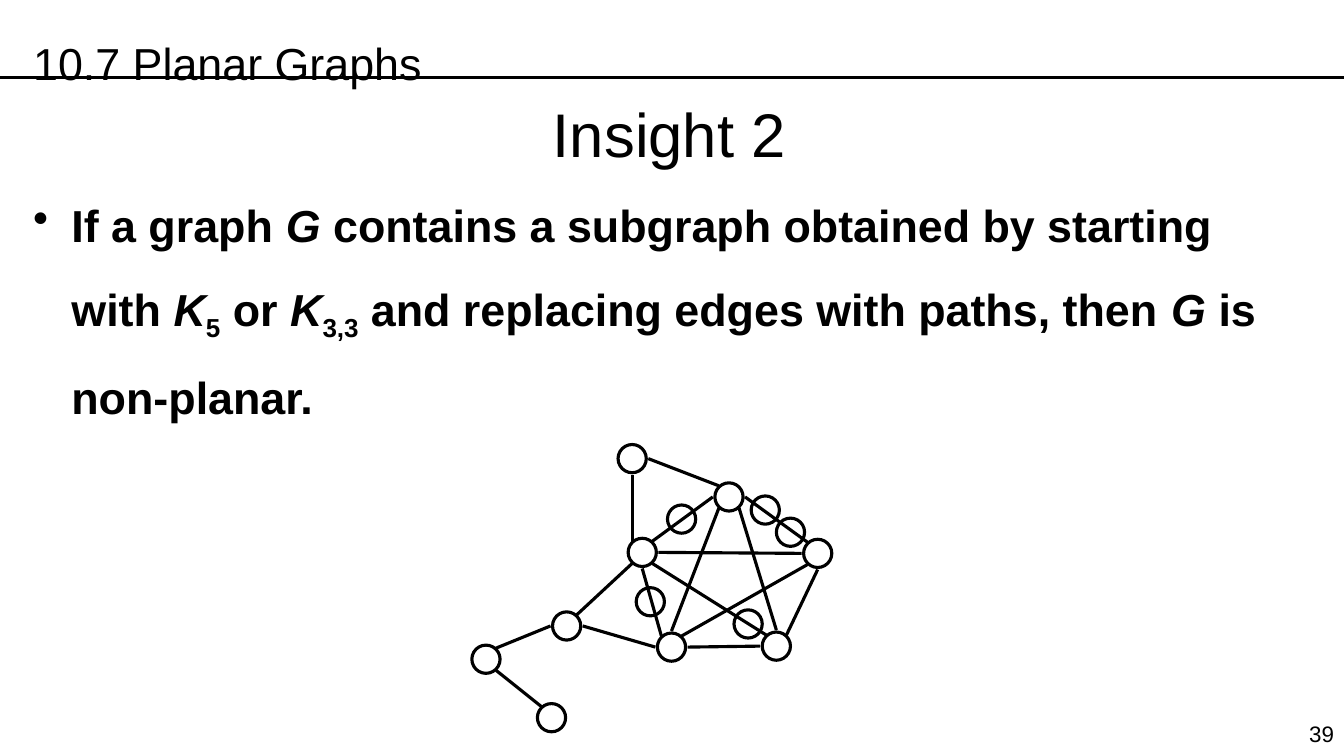
from lxml import etree
from pptx import Presentation, util as u
from pptx.dml.color import RGBColor
from pptx.enum import shapes, text
from pptx.oxml import ns

PX = 9144
RADIUS = 14
COLOURS = {"ink": "000000", "paper": "FFFFFF"}
PORTS = {
    "N": (0, -16), "E": (16, 0), "S": (0, 16), "W": (-16, 0),
    "NE": (10, -11), "SE": (10, 11), "SW": (-10, 11), "NW": (-10, -11),
}
VERTICES = {
    "top": (723, 493), "left": (637, 548), "right": (811, 549),
    "bottom left": (666, 642), "bottom right": (770, 641),
    "apex": (627, 455), "branch": (562, 621),
    "tail": (482, 654), "tail end": (547, 712),
}
PATH_VERTICES = [(784, 528), (742, 619), (676, 515), (645, 597), (759, 506)]
EDGES = [
    ("top", "SE", "bottom right", "N"),
    ("right", "S", "bottom right", "NE"),
    ("bottom left", "E", "bottom right", "W"),
    ("right", "NW", "top", "E"),
    ("top", "W", "left", "NE"),
    ("bottom left", "NW", "left", "S"),
    ("bottom left", "N", "top", "SW"),
    ("left", "E", "right", "W"),
    ("left", "SE", "bottom right", "NW"),
    ("bottom left", "NE", "right", "SW"),
    ("apex", "S", "left", "NW"),
    ("apex", "E", "top", "NW"),
    ("left", "SW", "branch", "NE"),
    ("bottom left", "W", "branch", "E"),
    ("branch", "W", "tail", "NE"),
    ("tail", "SE", "tail end", "NW"),
]
STATEMENT = [
    ("If a graph ", ""), ("G", "italic"),
    (" contains a subgraph obtained by starting with ", ""),
    ("K", "italic"), ("5", "sub"), (" or ", ""),
    ("K", "italic"), ("3,3", "sub"),
    (" and replacing edges with paths, then ", ""),
    ("G", "italic"), (" is non-planar.", ""),
]


class GraphSlide:
    font = "Arial"
    weight = u.Pt(2.25)

    def __init__(self, presentation):
        self.slide = presentation.slides.add_slide(presentation.slide_layouts[6])
        fill = self.slide.background.fill
        fill.solid()
        fill.fore_color.rgb = self.colour("paper")

    def colour(self, name):
        return RGBColor.from_string(COLOURS[name])

    def outline(self, line):
        line.color.rgb = self.colour("ink")
        line.width = self.weight

    def text(self, box, runs, size, align="LEFT", spacing=1.0, bold=False,
             bullet_indent=0, top_inset=5):
        shape = self.slide.shapes.add_textbox(*(value * PX for value in box))
        frame = shape.text_frame
        frame.word_wrap = True
        frame.vertical_anchor = text.MSO_ANCHOR.TOP
        frame.margin_top = top_inset * PX
        paragraph = frame.paragraphs[0]
        paragraph.alignment = text.PP_ALIGN[align]
        paragraph.line_spacing = spacing
        if bullet_indent:
            properties = paragraph._p.get_or_add_pPr()
            properties.set("marL", str(bullet_indent * PX))
            properties.set("indent", str(-bullet_indent * PX))
            etree.SubElement(properties, ns.qn("a:buChar")).set("char", "•")
        font = paragraph.font
        font.name = self.font
        font.size = u.Pt(size)
        font.bold = bold
        font.color.rgb = self.colour("ink")
        for content, style in runs:
            run = paragraph.add_run()
            run.text = content
            if style == "italic":
                run.font.italic = True
            elif style == "sub":
                run._r.get_or_add_rPr().set("baseline", "-25000")

    def line(self, start, end):
        connector = self.slide.shapes.add_connector(
            shapes.MSO_CONNECTOR.STRAIGHT,
            *(value * PX for value in (*start, *end)))
        self.outline(connector.line)
        etree.SubElement(connector._element.spPr, ns.qn("a:effectLst"))

    def vertex(self, centre):
        x, y = centre
        shape = self.slide.shapes.add_shape(
            shapes.MSO_SHAPE.OVAL, (x - RADIUS) * PX, (y - RADIUS) * PX,
            2 * RADIUS * PX, 2 * RADIUS * PX)
        shape.shadow.inherit = False
        shape.fill.background()
        self.outline(shape.line)

    def edge(self, start, start_port, end, end_port):
        self.line(self.port(start, start_port), self.port(end, end_port))

    def port(self, name, side):
        return tuple(a + b for a, b in zip(VERTICES[name], PORTS[side]))


def main():
    presentation = Presentation()
    presentation.slide_width = u.Inches(13.33)
    presentation.slide_height = u.Inches(7.5)
    slide = GraphSlide(presentation)
    slide.line((-1, 77), (1333, 77))
    slide.text((1270, 710, 63, 37), [("39", "")], 16, align="RIGHT")
    slide.text((214, 86, 900, 125), [("Insight 2", "")], 44, align="CENTER",
               top_inset=9)
    slide.text((23, 160, 1282, 495), STATEMENT, 32, spacing=1.5, bold=True,
               bullet_indent=38, top_inset=9)
    for centre in [*VERTICES.values(), *PATH_VERTICES]:
        slide.vertex(centre)
    for edge in EDGES:
        slide.edge(*edge)
    slide.text((23, 0, 1209, 81), [("10.7 Planar Graphs", "")], 32,
               spacing=1.5, top_inset=9)
    presentation.save("out.pptx")


if __name__ == "__main__":
    main()
